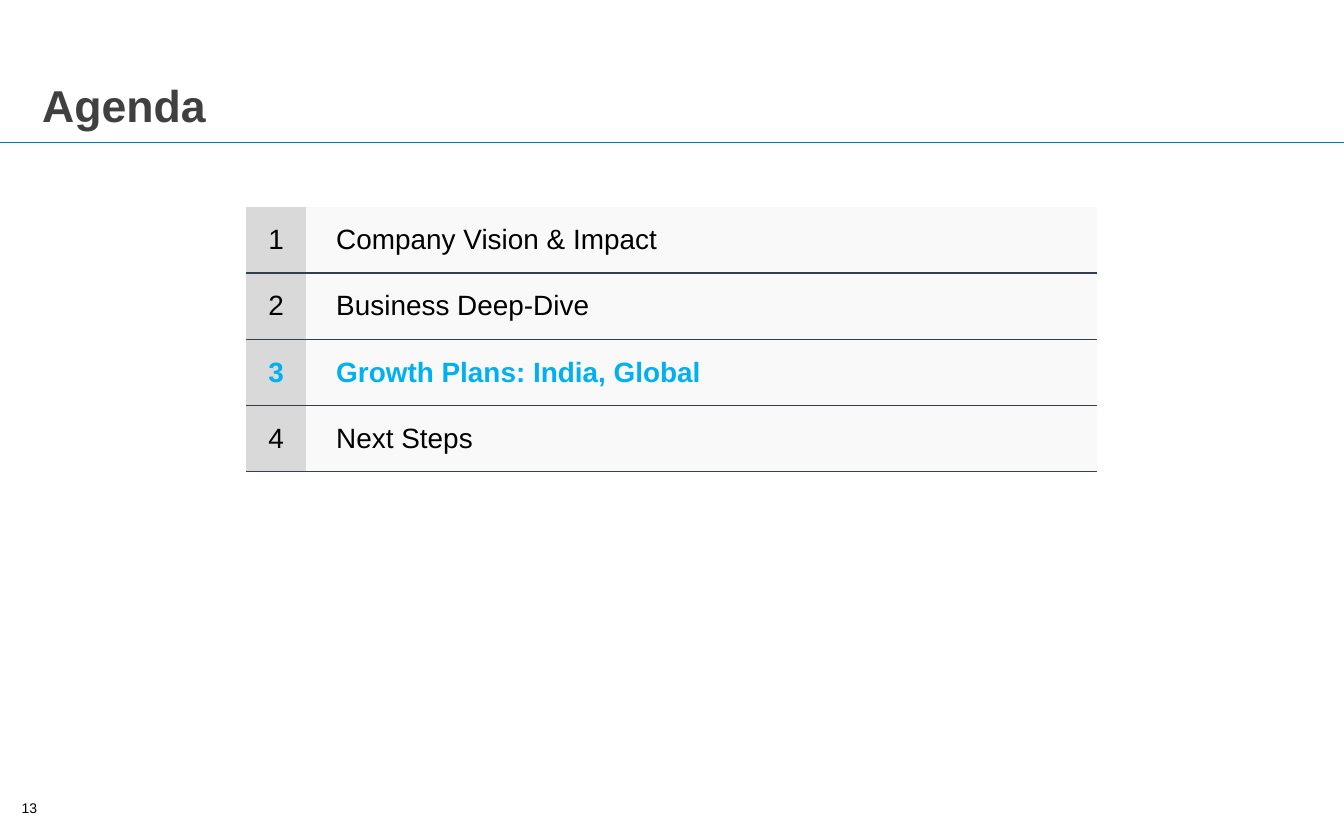
from dataclasses import dataclass

from lxml.etree import SubElement
from pptx import Presentation
from pptx.dml.color import RGBColor
from pptx.enum.shapes import MSO_CONNECTOR as Connector
from pptx.enum.text import MSO_ANCHOR as Anchor, MSO_AUTO_SIZE as AutoSize, PP_ALIGN as Align
from pptx.oxml import parse_xml
from pptx.oxml.ns import nsdecls, qn
from pptx.util import Inches, Pt

COLORS = {
    "title": "404040",
    "text": "000000",
    "active": "00B0F0",
    "rule": "007ABC",
    "number_fill": "D9D9D9",
    "topic_fill": "FAF9F9",
    "border": "323F4F",
}
FONT = "Arial"
WIDTH, HEIGHT = 13.39, 8.27
COLUMNS = (0.6, 7.88)
ROW_HEIGHT = 0.66


@dataclass
class AgendaItem:
    topic: str
    active: bool = False


AGENDA = [
    AgendaItem("Company Vision & Impact"),
    AgendaItem("Business Deep-Dive"),
    AgendaItem("Growth Plans: India, Global", active=True),
    AgendaItem("Next Steps"),
]


def rgb(name: str) -> RGBColor:
    return RGBColor.from_string(COLORS[name])


def format_text(p, size: float, color: str, bold: bool = False, align: Align = Align.LEFT) -> None:
    p.alignment = align
    for r in p.runs:
        r.font.name = FONT
        r.font.size = Pt(size)
        r.font.bold = bold
        r.font.color.rgb = rgb(color)


def set_frame(tf, right: float = 0) -> None:
    tf.margin_left = tf.margin_top = tf.margin_bottom = 0
    tf.margin_right = Inches(right)
    tf.vertical_anchor = Anchor.BOTTOM
    tf.word_wrap = True
    tf.auto_size = AutoSize.NONE


def set_borders(cell, sides: str) -> None:
    tc_pr = cell._tc.get_or_add_tcPr()
    for i, side in enumerate("LRTB"):
        if side in sides:
            fill = f'<a:solidFill><a:srgbClr val="{COLORS["border"]}"/></a:solidFill>'
        else:
            fill = "<a:noFill/>"
        tc_pr.insert(i, parse_xml(f'<a:ln{side} {nsdecls("a")} w="{Pt(1)}">{fill}</a:ln{side}>'))


def fill_cell(cell, text: str, fill: str, active: bool, left: float, align: Align, sides: str) -> None:
    cell.fill.solid()
    cell.fill.fore_color.rgb = rgb(fill)
    cell.margin_left = Inches(left)
    cell.margin_right = Inches(0.1)
    cell.margin_top = cell.margin_bottom = Inches(0.05)
    cell.vertical_anchor = Anchor.MIDDLE
    cell.text_frame.text = text
    format_text(cell.text_frame.paragraphs[0], 20, "active" if active else "text", active, align)
    set_borders(cell, sides)


def add_title(s, text: str) -> None:
    sp = s.shapes.title
    sp.left, sp.top, sp.width, sp.height = map(Inches, (0.42, 0.77, 12.49, 0.54))
    sp.text_frame.text = text
    set_frame(sp.text_frame)
    format_text(sp.text_frame.paragraphs[0], 32, "title", bold=True)


def add_rule(s, y: float) -> None:
    line = s.shapes.add_connector(Connector.STRAIGHT, 0, Inches(y), Inches(WIDTH), Inches(y))
    line.line.color.rgb = rgb("rule")
    line.line.width = Pt(0.75)
    SubElement(line._element.spPr, qn("a:effectLst"))


def add_agenda(s, items: list[AgendaItem]) -> None:
    table = s.shapes.add_table(
        len(items), len(COLUMNS), Inches(2.45), Inches(2.06),
        Inches(sum(COLUMNS)), Inches(ROW_HEIGHT * len(items)),
    ).table
    table.first_row = table.horz_banding = False
    for column, width in zip(table.columns, COLUMNS):
        column.width = Inches(width)
    for i, item in enumerate(items):
        table.rows[i].height = Inches(ROW_HEIGHT)
        sides = "TB" if i else "B"
        fill_cell(table.cell(i, 0), str(i + 1), "number_fill", item.active, 0.1, Align.CENTER, sides)
        fill_cell(table.cell(i, 1), item.topic, "topic_fill", item.active, 0.3, Align.LEFT, sides)


def add_page_number(s, number: int) -> None:
    sp = s.shapes.add_textbox(*map(Inches, (0.14, 7.98, 0.26, 0.15)))
    sp.text_frame.text = str(number)
    set_frame(sp.text_frame, right=0.03)
    format_text(sp.text_frame.paragraphs[0], 10, "text", align=Align.RIGHT)


def main() -> None:
    prs = Presentation()
    prs.slide_width, prs.slide_height = Inches(WIDTH), Inches(HEIGHT)
    s = prs.slides.add_slide(prs.slide_layouts[5])
    add_rule(s, 1.42)
    add_agenda(s, AGENDA)
    add_title(s, "Agenda")
    add_page_number(s, 13)
    prs.save("out.pptx")


if __name__ == "__main__":
    main()
